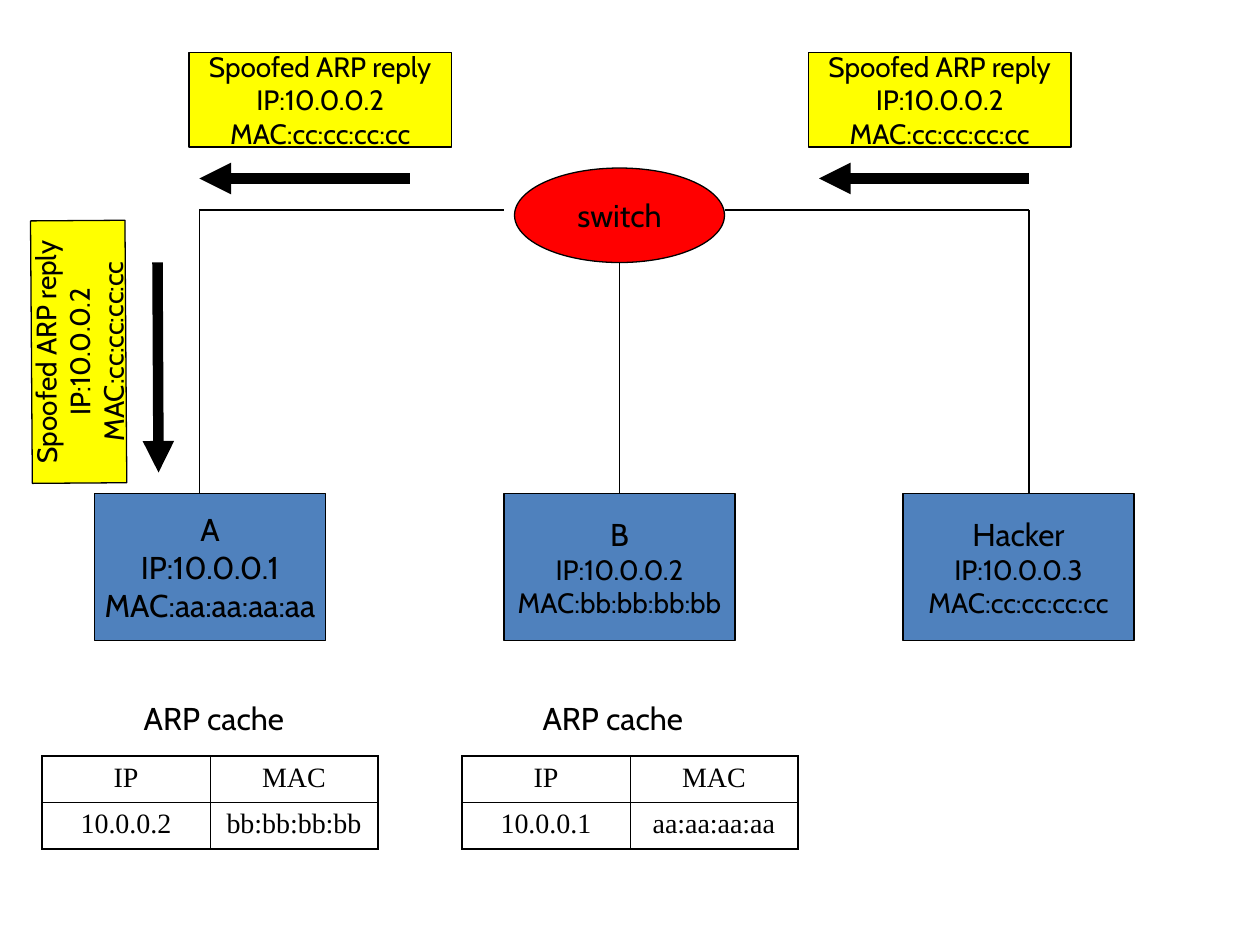
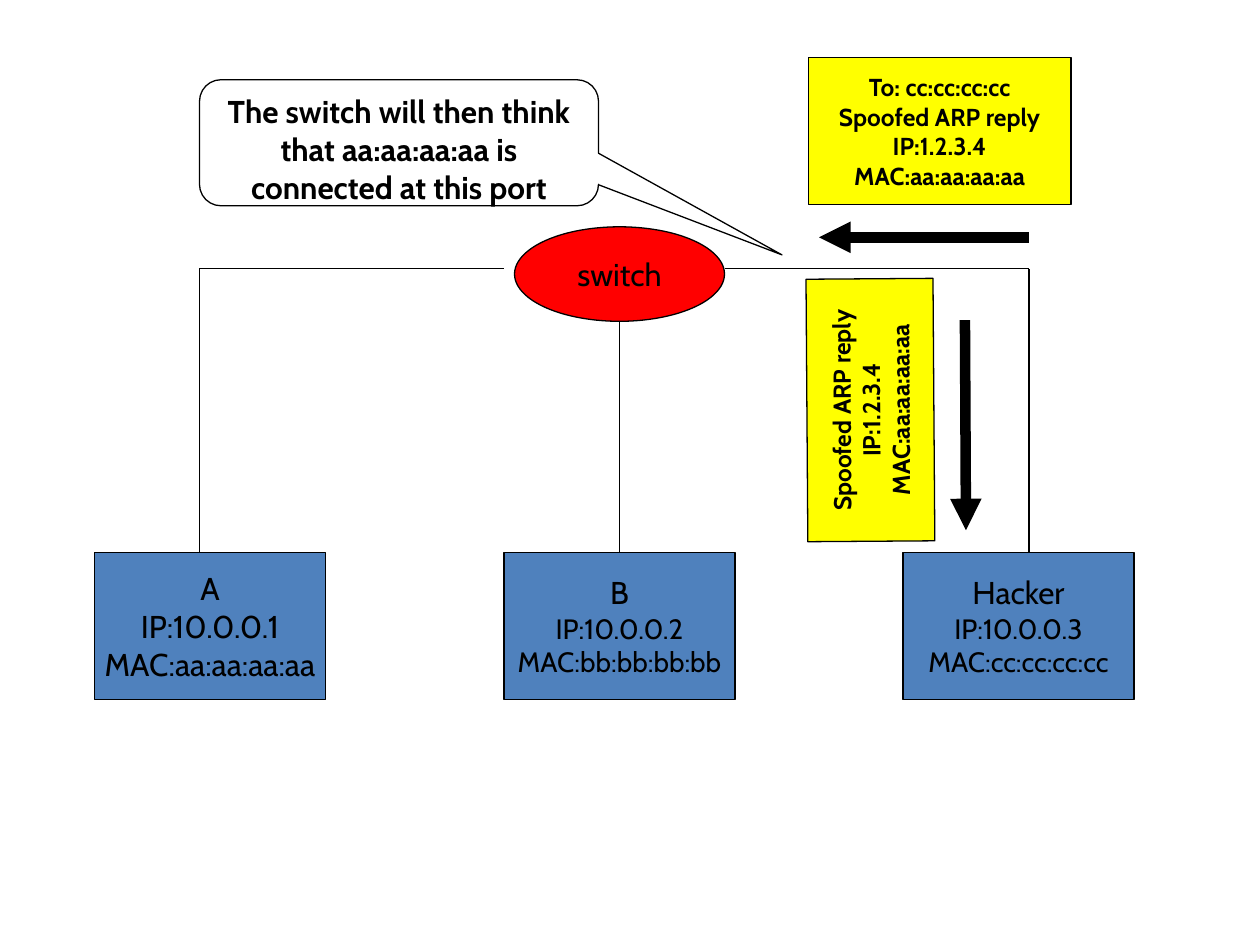
from dataclasses import dataclass
from typing import Any, Sequence

from lxml import etree
from pptx import Presentation
from pptx.dml.color import RGBColor
from pptx.enum import shapes, text
from pptx.oxml import ns
from pptx.util import Inches, Length, Pt

# Shared look: colours, fonts and a grid of 120 columns by 90 rows
COLOURS = {"ink": "000000", "host": "4F81BD", "switch": "FF0000", "notice": "FFFF00"}
DIAGRAM_FONT, CACHE_FONT = "Cabin", "Times New Roman"
WIDTH, HEIGHT = Inches(10), Inches(7.5)
COLUMNS, ROWS = 120, 90
THIN, THICK = 0.75, 6
CACHE_EDGE, CACHE_RULE = 1.08, 0.45
SIDEWAYS = 269.6
CENTRED = {"alignment": text.PP_ALIGN.CENTER}
LABEL_FRAME = {"word_wrap": False, "vertical_anchor": text.MSO_ANCHOR.MIDDLE}
CALLOUT_FRAME = {"word_wrap": True, "vertical_anchor": text.MSO_ANCHOR.TOP}
CAPTION_FRAME = {"word_wrap": False, "auto_size": text.MSO_AUTO_SIZE.SHAPE_TO_FIT_TEXT}


@dataclass(frozen=True)
class Area:
    col: float
    row: float
    cols: float
    rows: float


@dataclass(frozen=True)
class Wire:
    col: float
    row: float
    end_col: float
    end_row: float


@dataclass(frozen=True)
class Host:
    col: float
    name: str
    ip: str
    mac: str
    detail_size: int


@dataclass(frozen=True)
class Notice:
    area: Area
    lines: tuple[str, ...]
    arrow: Wire
    size: int
    bold: bool = False
    rotation: float = 0


@dataclass(frozen=True)
class Cache:
    col: float
    caption_col: float
    ip: str
    mac: str


HOSTS = (
    Host(9, "A", "10.0.0.1", "aa:aa:aa:aa", 18),
    Host(48, "B", "10.0.0.2", "bb:bb:bb:bb", 16),
    Host(86, "Hacker", "10.0.0.3", "cc:cc:cc:cc", 16),
)
WIRES = (
    Wire(59, 25, 59, 47),
    Wire(19, 47, 19, 20),
    Wire(19, 20, 48, 20),
    Wire(69, 20, 98, 20),
    Wire(98, 47, 98, 20),
)
CACHES = (
    Cache(4, 12.5, "10.0.0.2", "bb:bb:bb:bb"),
    Cache(44, 50.5, "10.0.0.1", "aa:aa:aa:aa"),
)
CACHE_POISON = ("Spoofed ARP reply", "IP:10.0.0.2", "MAC:cc:cc:cc:cc")
PORT_POISON = ("Spoofed ARP reply", "IP:1.2.3.4", "MAC:aa:aa:aa:aa")
CACHE_NOTICES = (
    Notice(Area(77, 5, 25, 9), CACHE_POISON, Wire(98, 17, 78, 17), 16),
    Notice(Area(-5, 29, 25, 9), CACHE_POISON, Wire(15, 25, 15.1, 45), 16,
           rotation=SIDEWAYS),
    Notice(Area(18, 5, 25, 9), CACHE_POISON, Wire(39, 17, 19, 17), 16),
)
PORT_NOTICES = (
    Notice(Area(77, 5.5, 25, 14), ("To: cc:cc:cc:cc", *PORT_POISON),
           Wire(98, 22.6, 78, 22.6), 14, bold=True),
    Notice(Area(70.4, 33, 25, 12.1), PORT_POISON, Wire(91.9, 30.5, 92, 50.5), 14,
           bold=True, rotation=SIDEWAYS),
)
PORT_DROP = 5.6  # rows by which the second network sits lower


def across(cols: float) -> Length:
    return Length(round(WIDTH * cols / COLUMNS))


def down(rows: float) -> Length:
    return Length(round(HEIGHT * rows / ROWS))


def place(area: Area) -> tuple[Length, Length, Length, Length]:
    return across(area.col), down(area.row), across(area.cols), down(area.rows)


def apply(target: Any, values: dict[str, Any]) -> None:
    for name, value in values.items():
        setattr(target, name, value)


def colour(name: str) -> RGBColor:
    return RGBColor.from_string(COLOURS[name])


def write(frame: Any, lines: Sequence[str], sizes: Sequence[int],
          font: str = DIAGRAM_FONT, bold: bool = False,
          layout: dict[str, Any] = CENTRED) -> None:
    for index, (line, size) in enumerate(zip(lines, sizes)):
        paragraph = frame.add_paragraph() if index else frame.paragraphs[0]
        apply(paragraph, layout)
        run = paragraph.add_run()
        run.text = line
        apply(run.font, {"name": font, "size": Pt(size), "bold": bold})
        run.font.color.rgb = colour("ink")


def draw_label(parent: Any, kind: Any, area: Area, fill: str | None,
               lines: Sequence[str], sizes: Sequence[int], bold: bool = False,
               frame: dict[str, Any] = LABEL_FRAME) -> Any:
    label = parent.shapes.add_shape(kind, *place(area))
    label.shadow.inherit = False
    if fill:
        label.fill.solid()
        label.fill.fore_color.rgb = colour(fill)
    else:
        label.fill.background()
    label.line.color.rgb = colour("ink")
    label.line.width = Pt(THIN)
    apply(label.text_frame, frame)
    write(label.text_frame, lines, sizes, bold=bold)
    return label


def draw_wire(parent: Any, wire: Wire, weight: float = THIN, arrow: bool = False) -> None:
    link = parent.shapes.add_connector(
        shapes.MSO_CONNECTOR.STRAIGHT, across(wire.col), down(wire.row),
        across(wire.end_col), down(wire.end_row))
    link.line.color.rgb = colour("ink")
    link.line.width = Pt(weight)
    properties = link._element.spPr
    etree.SubElement(properties, ns.qn("a:effectLst"))
    if arrow:
        outline = properties.find(ns.qn("a:ln"))
        etree.SubElement(outline, ns.qn("a:tailEnd"), type="triangle")


def draw_network(slide: Any, drop: float = 0) -> None:
    for host in HOSTS:
        draw_label(slide, shapes.MSO_SHAPE.RECTANGLE, Area(host.col, 47 + drop, 22, 14),
                   "host", (host.name, f"IP:{host.ip}", f"MAC:{host.mac}"),
                   (18, host.detail_size, host.detail_size))
    draw_label(slide, shapes.MSO_SHAPE.OVAL, Area(49, 16 + drop, 20, 9),
               "switch", ("switch",), (18,))
    for wire in WIRES:
        draw_wire(slide, Wire(wire.col, wire.row + drop, wire.end_col, wire.end_row + drop))


def draw_notice(slide: Any, notice: Notice) -> None:
    group = slide.shapes.add_group_shape()
    label = draw_label(group, shapes.MSO_SHAPE.RECTANGLE, notice.area, "notice",
                       notice.lines, [notice.size] * len(notice.lines), notice.bold)
    label.rotation = notice.rotation
    draw_wire(group, notice.arrow, THICK, arrow=True)


def draw_border(cell: Any, side: str, weight: float) -> None:
    border = etree.SubElement(cell._tc.get_or_add_tcPr(), ns.qn(f"a:ln{side}"),
                              w=str(Pt(weight)))
    fill = etree.SubElement(border, ns.qn("a:solidFill"))
    etree.SubElement(fill, ns.qn("a:srgbClr"), val=COLOURS["ink"])


def draw_cache(slide: Any, cache: Cache) -> None:
    entries = (("IP", "MAC"), (cache.ip, cache.mac))
    grid = slide.shapes.add_table(2, 2, *place(Area(cache.col, 72, 32, 8.88))).table
    apply(grid, {"first_row": False, "horz_banding": False})
    for row, values in enumerate(entries):
        for col, value in enumerate(values):
            cell = grid.cell(row, col)
            outer = {"L": col == 0, "R": col == 1, "T": row == 0, "B": row == 1}
            for side, at_edge in outer.items():
                draw_border(cell, side, CACHE_EDGE if at_edge else CACHE_RULE)
            cell.fill.background()
            write(cell.text_frame, (value,), (16,), CACHE_FONT)
    caption = slide.shapes.add_textbox(*place(Area(cache.caption_col, 66, 16.8, 4.8)))
    apply(caption.text_frame, CAPTION_FRAME)
    write(caption.text_frame, ("ARP cache",), (18,), layout={})


def build_cache_poisoning(slide: Any) -> None:
    draw_network(slide)
    for cache in CACHES:
        draw_cache(slide, cache)
    for notice in CACHE_NOTICES:
        draw_notice(slide, notice)


def build_port_stealing(slide: Any) -> None:
    draw_network(slide, PORT_DROP)
    for notice in PORT_NOTICES:
        draw_notice(slide, notice)
    remark = draw_label(
        slide, shapes.MSO_SHAPE.ROUNDED_RECTANGULAR_CALLOUT, Area(19, 7.6, 38, 12), None,
        ("The switch will then think that aa:aa:aa:aa is connected at this port",),
        (18,), bold=True, frame=CALLOUT_FRAME)
    for index, value in enumerate((0.96, 0.89, 0.17)):
        remark.adjustments[index] = value


def main() -> None:
    deck = Presentation()
    apply(deck, {"slide_width": WIDTH, "slide_height": HEIGHT})
    for build in (build_cache_poisoning, build_port_stealing):
        build(deck.slides.add_slide(deck.slide_layouts[6]))
    deck.save("out.pptx")


if __name__ == "__main__":
    main()
